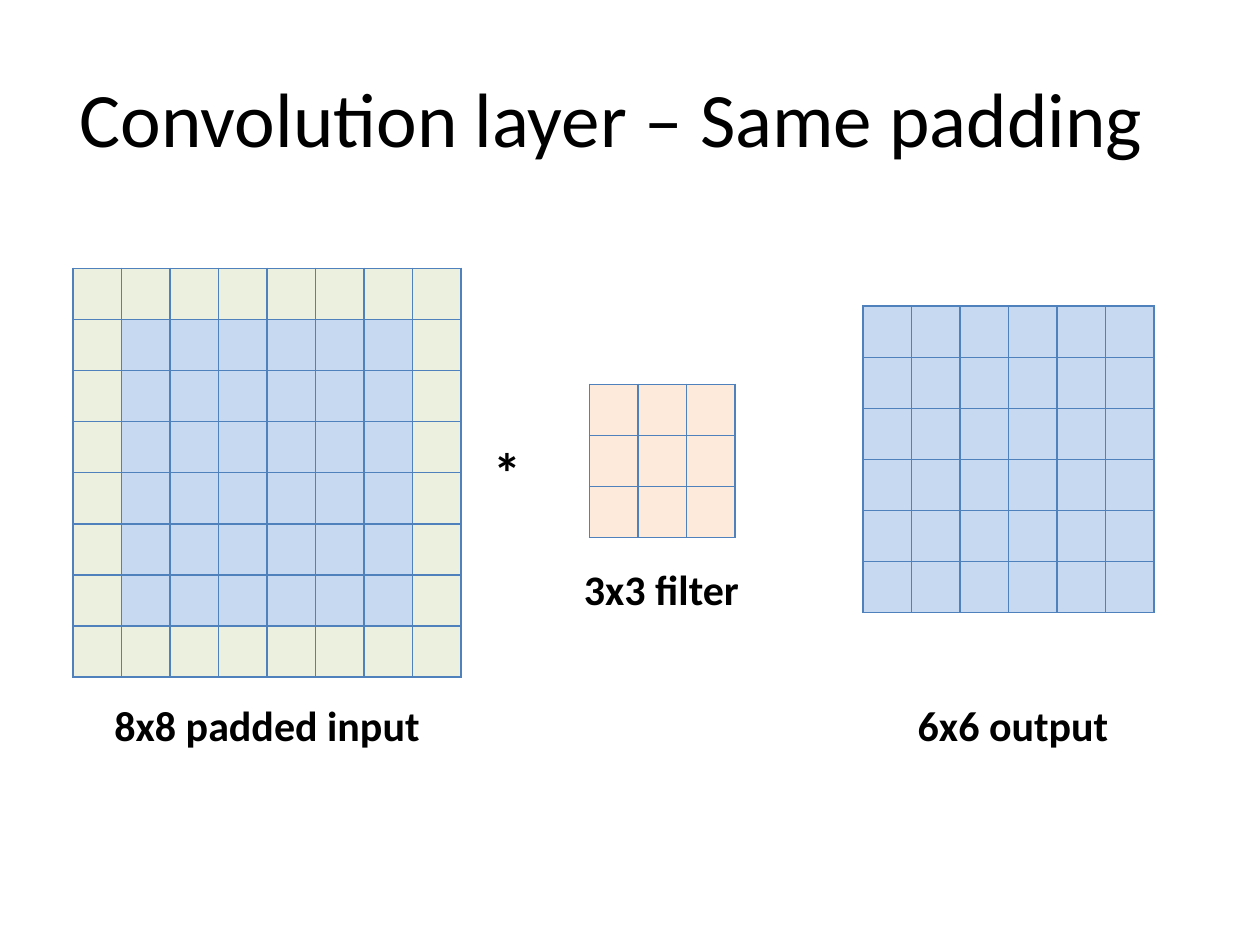
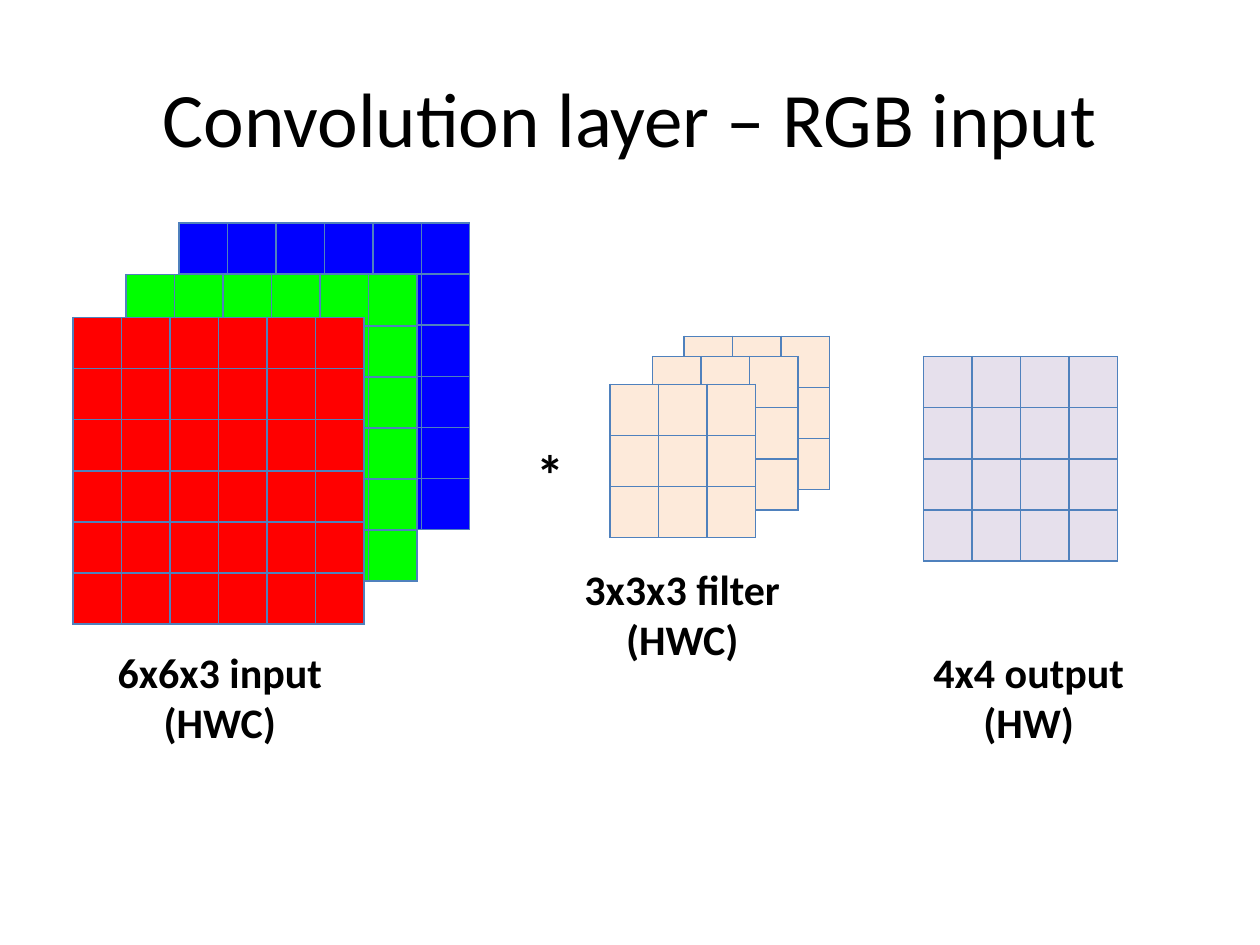
from lxml import etree
from pptx import Presentation
from pptx import util as u
from pptx.dml.color import RGBColor
from pptx.enum import text
from pptx.oxml import ns

COLORS = {
    "text": "000000",
    "border": "4F81BD",
    "padding": "EBF1DE",
    "pixel": "C6D9F1",
    "filter": "FDEADA",
    "output": "E6E0EC",
    "red": "FF0000",
    "green": "00FF00",
    "blue": "0000FF",
}
FONT = "Calibri"
COLUMN_WIDTH = 3.08 / 8
ROW_HEIGHT = 0.4
TITLE_FRAME = {"left": 0.5, "top": 0.3, "width": 9, "height": 1.25}
LABEL_FORMAT = {"name": FONT, "size": u.Pt(24), "bold": True}
OPERATOR_FORMAT = {"name": FONT, "size": u.Pt(32), "bold": True}
TITLE_FORMAT = {"name": FONT, "size": u.Pt(44), "bold": False}

# Grids: left, top, cells per side, colour, optional colour of the outer ring.
# Labels: left, top, width, height, lines.
SLIDES = [
    {
        "title": "Convolution layer – Same padding",
        "title_margin_right": 0.39,
        "grids": [
            (0.58, 2.13, 8, "pixel", "padding"),
            (4.68, 3.05, 3, "filter", None),
            (6.85, 2.43, 6, "pixel", None),
        ],
        "labels": [
            (4.5, 4.42, 1.5, 0.5, "3x3 filter"),
            (0.58, 5.5, 3.08, 0.5, "8x8 padded input"),
            (6.5, 5.5, 3.08, 0.5, "6x6 output"),
        ],
        "operator": (3.82, 3.42),
    },
    {
        "title": "Convolution layer – RGB input",
        "title_margin_right": 0.1,
        "grids": [
            (1.42, 1.77, 6, "blue", None),
            (1, 2.18, 6, "green", None),
            (0.58, 2.52, 6, "red", None),
            (5.43, 2.67, 3, "filter", None),
            (5.18, 2.83, 3, "filter", None),
            (4.84, 3.05, 3, "filter", None),
            (7.33, 2.83, 4, "output", None),
        ],
        "labels": [
            (0.58, 5.08, 2.33, 0.91, "6x6x3 input\n(HWC)"),
            (4.5, 4.42, 1.83, 0.91, "3x3x3 filter\n(HWC)"),
            (7, 5.08, 2.33, 0.91, "4x4 output\n(HW)"),
        ],
        "operator": (4.16, 3.44),
    },
]


def write_text(text_frame, content, font_format, alignment):
    text_frame.text = content
    for paragraph in text_frame.paragraphs:
        paragraph.alignment = alignment
        for run in paragraph.runs:
            run.font.color.rgb = RGBColor.from_string(COLORS["text"])
            for attribute, value in font_format.items():
                setattr(run.font, attribute, value)


def add_grid(slide, left, top, count, color, ring_color):
    """Add a square table, with its outermost cells in ring_color if given."""
    table = slide.shapes.add_table(
        count, count, u.Inches(left), u.Inches(top),
        u.Inches(count * COLUMN_WIDTH), u.Inches(count * ROW_HEIGHT)).table
    table.first_row = False
    table.horz_banding = False
    for row in range(count):
        for column in range(count):
            cell = table.cell(row, column)
            properties = cell._tc.get_or_add_tcPr()
            for side in ("lnL", "lnR", "lnT", "lnB"):
                line = etree.SubElement(properties, ns.qn(f"a:{side}"), w=str(u.Pt(1)))
                line_fill = etree.SubElement(line, ns.qn("a:solidFill"))
                etree.SubElement(line_fill, ns.qn("a:srgbClr"), val=COLORS["border"])
            on_ring = row in (0, count - 1) or column in (0, count - 1)
            cell_color = ring_color if ring_color and on_ring else color
            cell.fill.solid()
            cell.fill.fore_color.rgb = RGBColor.from_string(COLORS[cell_color])


presentation = Presentation()
presentation.slide_width = u.Inches(10)
presentation.slide_height = u.Inches(7.5)
title_only_layout = presentation.slide_layouts.get_by_name("Title Only")

for content in SLIDES:
    slide = presentation.slides.add_slide(title_only_layout)

    title = slide.shapes.title
    for attribute, value in TITLE_FRAME.items():
        setattr(title, attribute, u.Inches(value))
    title.text_frame.vertical_anchor = text.MSO_ANCHOR.MIDDLE
    title.text_frame.margin_right = u.Inches(content["title_margin_right"])
    write_text(title.text_frame, content["title"], TITLE_FORMAT, text.PP_ALIGN.CENTER)

    for grid in content["grids"]:
        add_grid(slide, *grid)

    for *frame, lines in content["labels"]:
        label = slide.shapes.add_textbox(*map(u.Inches, frame))
        label.text_frame.word_wrap = True
        label.text_frame.auto_size = text.MSO_AUTO_SIZE.SHAPE_TO_FIT_TEXT
        write_text(label.text_frame, lines, LABEL_FORMAT, text.PP_ALIGN.CENTER)

    operator = slide.shapes.add_textbox(*map(u.Inches, (*content["operator"], 0.43, 0.64)))
    operator.text_frame.word_wrap = False
    operator.text_frame.auto_size = text.MSO_AUTO_SIZE.SHAPE_TO_FIT_TEXT
    write_text(operator.text_frame, "*", OPERATOR_FORMAT, text.PP_ALIGN.LEFT)

presentation.save("out.pptx")
